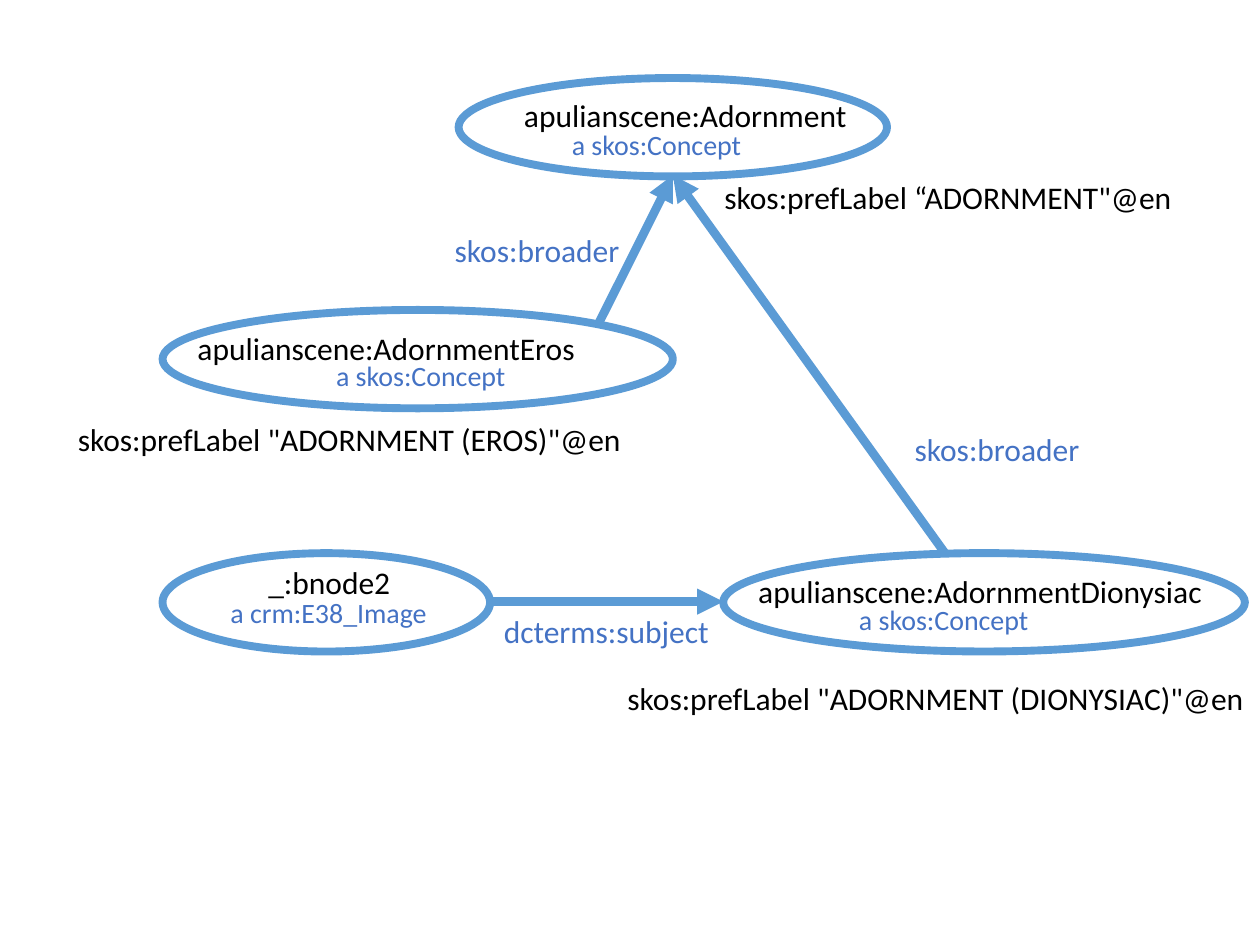
from dataclasses import dataclass

from lxml import etree
from pptx import Presentation
from pptx.dml.color import RGBColor
from pptx.enum.shapes import MSO_CONNECTOR, MSO_SHAPE
from pptx.enum.text import MSO_AUTO_SIZE
from pptx.oxml.ns import qn
from pptx.util import Pt

ELLIPSE = MSO_SHAPE.OVAL
STRAIGHT = MSO_CONNECTOR.STRAIGHT
FIT_SHAPE = MSO_AUTO_SIZE.SHAPE_TO_FIT_TEXT


@dataclass(frozen=True)
class Theme:
    font: str = "Calibri"
    outline: RGBColor = RGBColor(0x5B, 0x9B, 0xD5)
    accent: RGBColor = RGBColor(0x44, 0x72, 0xC4)
    text: RGBColor = RGBColor(0, 0, 0)
    label_size: float = 18
    type_size: float = 16
    label_height: float = 29
    type_height: float = 26.6
    node_height: float = 56.2
    node_line: float = 4.5
    arrow_line: float = 5


def set_attributes(target, values):
    for name, value in values.items():
        setattr(target, name, value)


class GraphSlide:
    def __init__(self, slide, theme):
        self.slide = slide
        self.theme = theme

    def outline(self, line, width):
        line.color.rgb = self.theme.outline
        line.width = Pt(width)

    def text(self, words, left, top, width, height, size, color, wrap=False):
        box = self.slide.shapes.add_textbox(Pt(left), Pt(top), Pt(width), Pt(height))
        set_attributes(box.text_frame, {"word_wrap": wrap, "auto_size": FIT_SHAPE})
        run = box.text_frame.paragraphs[0].add_run()
        run.text = words
        set_attributes(run.font, {"name": self.theme.font, "size": Pt(size)})
        run.font.color.rgb = color

    def label(self, words, left, top, width, wrap=False):
        theme = self.theme
        self.text(words, left, top, width, theme.label_height,
                  theme.label_size, theme.text, wrap)

    def relation(self, words, left, top, width):
        theme = self.theme
        self.text(words, left, top, width, theme.label_height,
                  theme.label_size, theme.accent)

    def type_label(self, words, left, top, width):
        theme = self.theme
        self.text(words, left, top, width, theme.type_height,
                  theme.type_size, theme.accent)

    def node(self, left, top, width, name, type_name):
        shape = self.slide.shapes.add_shape(
            ELLIPSE, Pt(left), Pt(top), Pt(width), Pt(self.theme.node_height))
        shape.shadow.inherit = False
        shape.fill.background()
        self.outline(shape.line, self.theme.node_line)
        self.label(*name)
        self.type_label(*type_name)

    def arrow(self, start, end):
        connector = self.slide.shapes.add_connector(
            STRAIGHT, *(Pt(value) for value in (*start, *end)))
        self.outline(connector.line, self.theme.arrow_line)
        etree.SubElement(connector.line._get_or_add_ln(), qn("a:tailEnd"), type="triangle")
        etree.SubElement(connector._element.spPr, qn("a:effectLst"))


def main():
    presentation = Presentation()
    set_attributes(presentation, {"slide_width": Pt(720), "slide_height": Pt(540)})
    slide = presentation.slides.add_slide(presentation.slide_layouts[6])
    graph = GraphSlide(slide, Theme())

    concept = "a skos:Concept"
    concept_width = 112.3
    broader = "skos:broader"
    broader_width = 109.4
    left_edge = 92.9
    bottom_row = 316.1
    bottom_middle = 343.8
    parent_foot = (384.5, 100.1)

    graph.node(413.3, bottom_row, 298.1,
               ("apulianscene:AdornmentDionysiac", 426.2, 323.3, 271.4),
               (concept, 483.8, 340.6, concept_width))
    graph.node(262.1, 44.6, 244.8,
               ("apulianscene:Adornment", 292.3, 51.1, 200.9),
               (concept, 319.7, 69.1, concept_width))
    graph.node(left_edge, bottom_row, 187.2,
               ("_:bnode2", 146.2, 318.2, 85),
               ("a crm:E38_Image", 124.6, 337, 128.2))
    graph.node(left_edge, 177.1, 291.6,
               ("apulianscene:AdornmentEros", 105.8, 184.3, 232.6),
               (concept, 185, 201.6, concept_width))

    graph.arrow((280.8, bottom_middle), (413.3, bottom_middle))
    graph.arrow((540, bottom_row), parent_foot)
    graph.arrow((342, 185), parent_foot)

    graph.relation(broader, 515.5, 241.9, broader_width)
    graph.relation(broader, 252.7, 128.2, broader_width)
    graph.relation("dcterms:subject", 280.8, 346.3, 133.2)

    graph.label('skos:prefLabel “ADORNMENT"@en', 406.8, 97.9, 272.9)
    graph.label('skos:prefLabel "ADORNMENT (DIONYSIAC)"@en', 351.4, 384.5, 368.6, wrap=True)
    graph.label('skos:prefLabel "ADORNMENT (EROS)"@en', 37.4, 236.2, 341.3, wrap=True)

    presentation.save("out.pptx")


if __name__ == "__main__":
    main()
